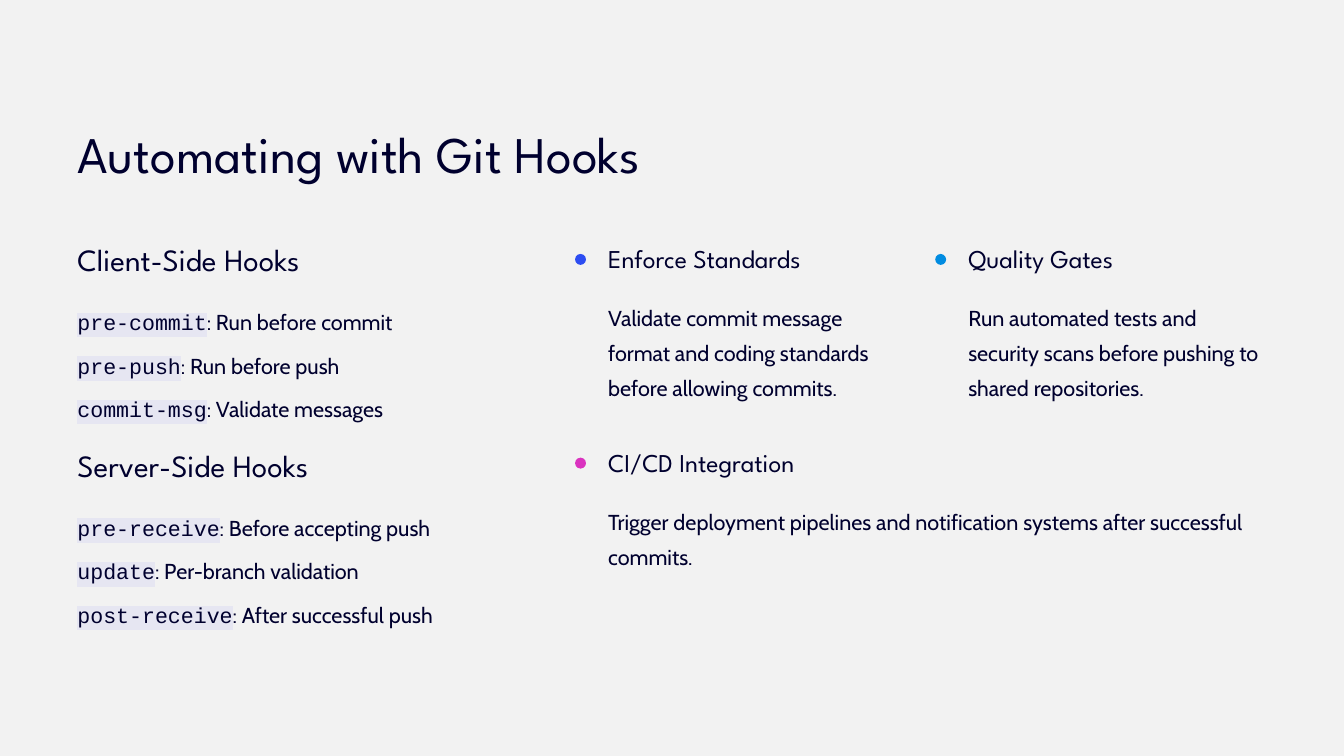
import pptx
import pptx.dml.color
import pptx.enum.shapes
import pptx.enum.text
import pptx.oxml
import pptx.oxml.ns
import pptx.util

Cm = pptx.util.Cm
Pt = pptx.util.Pt
RGBColor = pptx.dml.color.RGBColor

INK = RGBColor(0x00, 0x00, 0x2E)
PAPER = RGBColor(0xF2, 0xF2, 0xF2)
BLUE = RGBColor(0x2D, 0x4D, 0xF2)
SKY = RGBColor(0x01, 0x8C, 0xE1)
PINK = RGBColor(0xDA, 0x33, 0xBF)
CODE_BACK = RGBColor(0xE6, 0xE6, 0xF2)

HEAD_FONT = "League Spartan"
TEXT_FONT = "Cabin"
CODE_FONT = "Courier New"

# style: font, size, line spacing in points
STYLES = {
    "title": (HEAD_FONT, 44, 55),
    "group": (HEAD_FONT, 26.5, 33),
    "card": (HEAD_FONT, 22, 27.5),
    "text": (TEXT_FONT, 18.5, 30),
}

LEFT = 2.34
GROUPS = [
    (7.24, "Client-Side Hooks", [
        ("pre-commit", ": Run before commit"),
        ("pre-push", ": Run before push"),
        ("commit-msg", ": Validate messages"),
    ]),
    (13.46, "Server-Side Hooks", [
        ("pre-receive", ": Before accepting push"),
        ("update", ": Per-branch validation"),
        ("post-receive", ": After successful push"),
    ]),
]

COL_1, COL_2 = 18.39, 29.28
ROW_1, ROW_2 = 7.32, 13.48
NARROW = 9.07
WIDE = COL_2 + NARROW - COL_1
CARDS = [
    (COL_1, ROW_1, NARROW, 3.2, BLUE, "Enforce Standards",
     "Validate commit message format and coding standards before allowing commits."),
    (COL_2, ROW_1, NARROW, 3.2, SKY, "Quality Gates",
     "Run automated tests and security scans before pushing to shared repositories."),
    (COL_1, ROW_2, WIDE, 2.13, PINK, "CI/CD Integration",
     "Trigger deployment pipelines and notification systems after successful commits."),
]


def assign(target, form):
    for name, value in form.items():
        setattr(target, name, value)


class Page:
    def __init__(self, deck, layout):
        self.slide = deck.slides.add_slide(layout)
        fill = self.slide.background.fill
        fill.solid()
        fill.fore_color.rgb = PAPER

    def set_text(self, shape, style, lines, gap=0):
        """Fill a shape with lines, each a list of (text, is code) runs."""
        font, size, lead = STYLES[style]
        frame = shape.text_frame
        assign(frame, {
            "margin_left": 0, "margin_top": 0, "margin_right": 0, "margin_bottom": 0,
            "word_wrap": True,
            "auto_size": pptx.enum.text.MSO_AUTO_SIZE.NONE,
            "vertical_anchor": pptx.enum.text.MSO_ANCHOR.TOP,
        })
        for i, line in enumerate(lines):
            para = frame.add_paragraph() if i else frame.paragraphs[0]
            assign(para, {
                "alignment": pptx.enum.text.PP_ALIGN.LEFT,
                "line_spacing": Pt(lead),
                "space_before": Pt(gap if i else 0),
                "space_after": Pt(0),
            })
            if shape.is_placeholder:
                self.unbullet(para)
            for text, code in line:
                run = para.add_run()
                run.text = text
                assign(run.font, {"name": CODE_FONT if code else font,
                                  "size": Pt(size), "bold": False})
                run.font.color.rgb = INK
                if code:
                    self.mark(run)

    def unbullet(self, para):
        props = para._p.get_or_add_pPr()
        props.set("marL", "0")
        props.set("indent", "0")
        props.append(pptx.oxml.parse_xml(
            f'<a:buNone {pptx.oxml.ns.nsdecls("a")}/>'))

    def mark(self, run):
        """Put the code highlight behind a run."""
        fill = run._r.rPr.find(pptx.oxml.ns.qn("a:solidFill"))
        fill.addnext(pptx.oxml.parse_xml(
            f'<a:highlight {pptx.oxml.ns.nsdecls("a")}>'
            f'<a:srgbClr val="{CODE_BACK}"/></a:highlight>'))

    def fill(self, index, box, style, lines, gap=0):
        """Move and fill a placeholder of the layout."""
        shape = self.slide.placeholders[index]
        assign(shape, dict(zip(("left", "top", "width", "height"), map(Cm, box))))
        self.set_text(shape, style, lines, gap)

    def label(self, box, style, text):
        shape = self.slide.shapes.add_textbox(*map(Cm, box))
        self.set_text(shape, style, [[(text, False)]])

    def dot(self, left, top, color):
        size = Cm(0.33)
        shape = self.slide.shapes.add_shape(
            pptx.enum.shapes.MSO_SHAPE.ROUNDED_RECTANGLE, Cm(left), Cm(top), size, size)
        shape.adjustments[0] = 0.5
        shape.shadow.inherit = False
        shape.fill.solid()
        shape.fill.fore_color.rgb = color
        shape.line.fill.background()

    def group(self, index, top, head, hooks):
        """Place a heading and its list of hooks."""
        self.fill(index, (LEFT, top, 9.4, 1.17), "group", [[(head, False)]])
        lines = [[(code, True), (text, False)] for code, text in hooks]
        self.fill(index + 1, (LEFT, top + 1.83, 13.41, 3.73), "text", lines, 7.4)

    def card(self, left, top, width, height, color, head, text):
        self.dot(left - 1, top + 0.36, color)
        self.label((left, top, 7.82, 0.97), "card", head)
        self.label((left, top + 1.64, width, height), "text", text)


def main():
    deck = pptx.Presentation()
    deck.slide_width, deck.slide_height = Cm(40.64), Cm(22.86)
    page = Page(deck, deck.slide_layouts.get_by_name("Comparison"))
    page.fill(0, (LEFT, 3.61, 19.53, 1.96), "title",
              [[("Automating with Git Hooks", False)]])
    for i, group in enumerate(GROUPS):
        page.group(2 * i + 1, *group)
    for card in CARDS:
        page.card(*card)
    deck.save("out.pptx")


if __name__ == "__main__":
    main()
